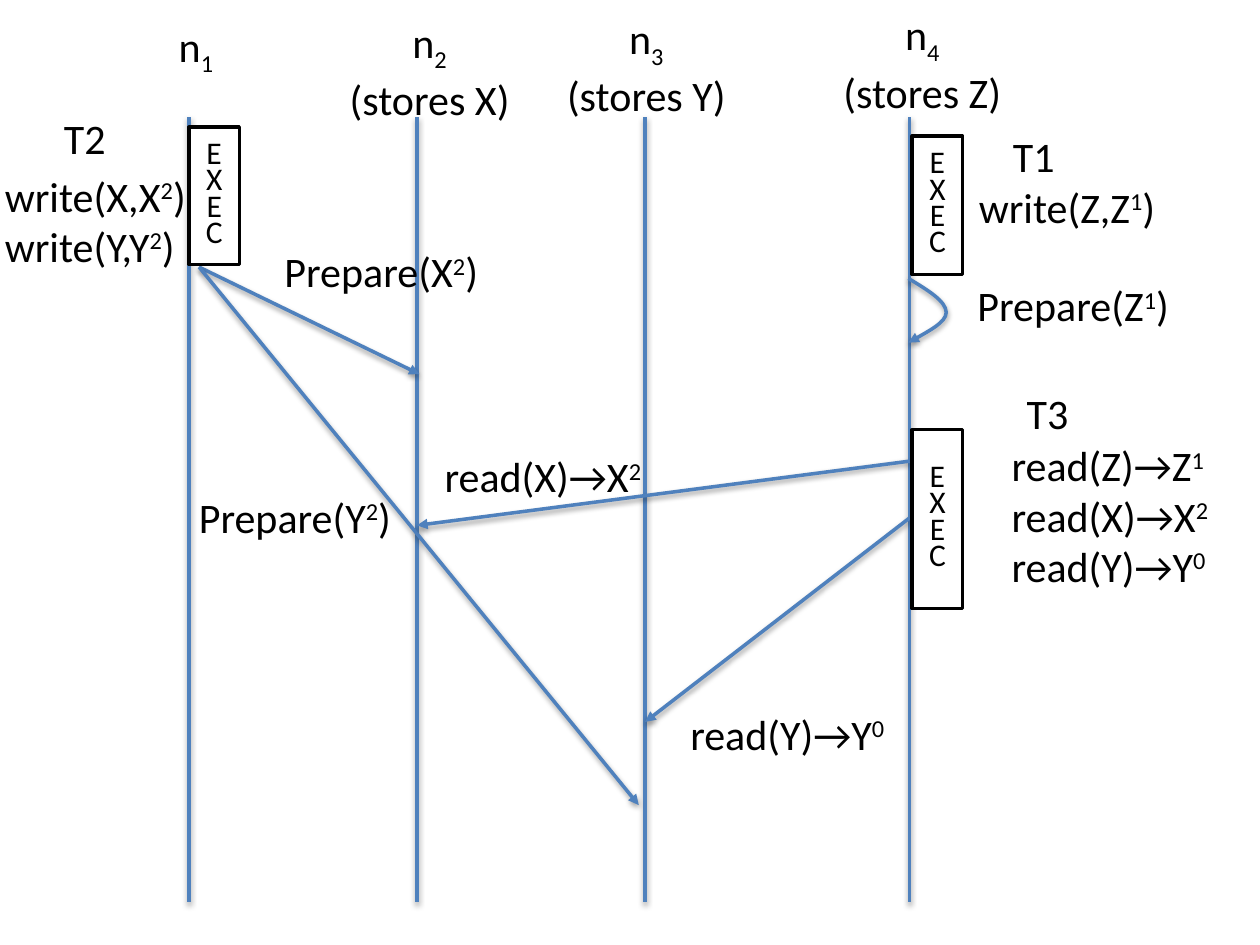
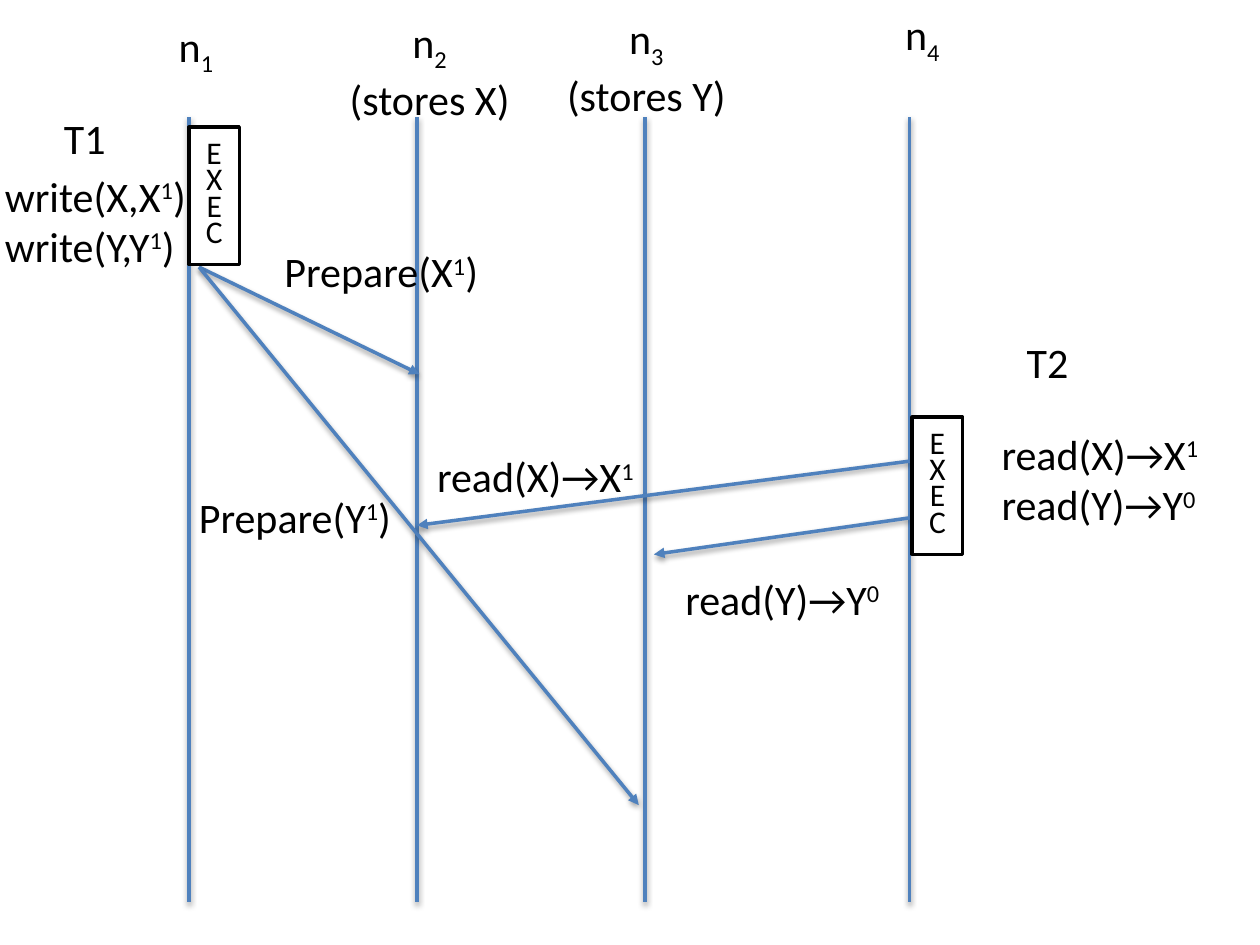
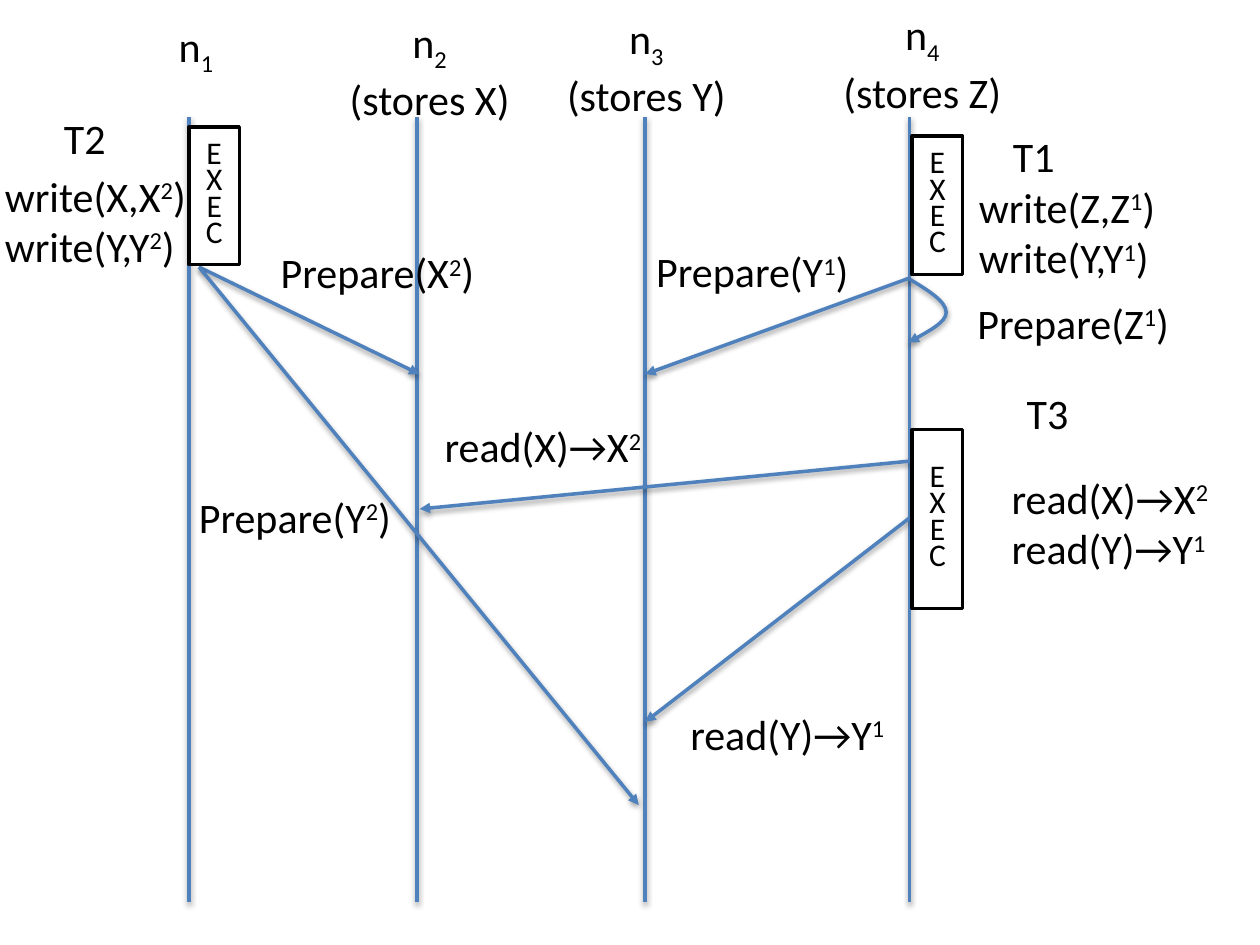
import pptx
import pptx.dml.color
import pptx.enum.shapes
import pptx.enum.text
import pptx.oxml
import pptx.oxml.ns
import pptx.util
from lxml import etree

# Lengths are in grid cells: 100 columns by 75 rows, each 0.1 inch.
CELL = 0.1
COLUMNS, ROWS = 100, 75
LANES = (15, 33.1, 51.2, 72.2)
LANE_TOP, LANE_BOTTOM = 9.3, 71.6
HEADING_CENTRES = (15.55, 34.1, 51.3, 73.2)
LABEL_WIDTHS = {"P": 17.7, "r": 18.2, "w": 16.6, "T": 5.4}
FONT = "Calibri"
BLUE, BLACK, WHITE = "4F81BD", "000000", "FFFFFF"
BASELINES = {"^": "30000", "_": "-25000"}
SEND_POINT = (15.8, 21.2)
LOCAL_POINT = (72.1, 22.1)


def grid(cells):
    """Turn grid cells into a slide length."""
    return pptx.util.Inches(cells * CELL)


def color(hex_text):
    """Turn a hex string into a colour."""
    return pptx.dml.color.RGBColor.from_string(hex_text)


def add_node(parent, tag, **attributes):
    """Append a drawing element with attributes to a parent."""
    return etree.SubElement(parent, pptx.oxml.ns.qn(tag), attributes)


def style_stroke(shape, arrow):
    """Give a line its blue stroke, soft shadow and optional arrowhead."""
    shape.line.color.rgb = color(BLUE)
    shape.line.width = pptx.util.Pt(2)
    properties = shape.element.spPr
    if arrow:
        add_node(properties.find(pptx.oxml.ns.qn("a:ln")), "a:tailEnd", type="triangle")
    effects = add_node(properties, "a:effectLst")
    shadow = add_node(effects, "a:outerShdw", blurRad=str(pptx.util.Pt(3.1)),
                      dist=str(pptx.util.Pt(1.6)), dir="5400000", rotWithShape="0")
    tint = add_node(shadow, "a:srgbClr", val=BLACK)
    add_node(tint, "a:alpha", val="38000")


def add_line(slide, start, end, arrow=True):
    """Draw a straight line between two grid points."""
    line = slide.shapes.add_connector(
        pptx.enum.shapes.MSO_CONNECTOR.STRAIGHT, *map(grid, start + end))
    style_stroke(line, arrow)


def add_loop(slide):
    """Draw the curved arrow of a node that sends to itself."""
    left, top = LOCAL_POINT
    builder = slide.shapes.build_freeform(grid(left), grid(top))
    ends = ((75.1, 24.8), (72.1, 27.2))
    builder.add_line_segments([(grid(x), grid(y)) for x, y in ends], close=False)
    loop = builder.convert_to_shape()
    loop.fill.background()
    handles = (((73.6, 23), (75.1, 23.9)), ((75.1, 25.6), (72.1, 27.2)))
    segments = list(loop.element.iter(pptx.oxml.ns.qn("a:lnTo")))
    for segment, pair in zip(segments, handles):
        segment.tag = pptx.oxml.ns.qn("a:cubicBezTo")
        for position, (x, y) in enumerate(pair):
            point = etree.Element(pptx.oxml.ns.qn("a:pt"),
                                  x=str(grid(x) - loop.left), y=str(grid(y) - loop.top))
            segment.insert(position, point)
    style_stroke(loop, True)


def add_span(para, text, size, baseline=None):
    """Add one formatted run, raised or lowered if a baseline is given."""
    span = para.add_run()
    span.text = text
    span.font.name = FONT
    span.font.size = pptx.util.Pt(size)
    span.font.color.rgb = color(BLACK)
    if baseline:
        span.font._element.set("baseline", baseline)


def add_marked_text(para, text, size=24):
    """Add runs; ^ raises and _ lowers the character that follows."""
    plain, baseline = "", None
    for letter in text:
        if letter in BASELINES:
            add_span(para, plain, size)
            plain, baseline = "", BASELINES[letter]
        elif baseline:
            add_span(para, letter, size, baseline)
            baseline = None
        else:
            plain += letter
    if plain:
        add_span(para, plain, size)


def add_text(slide, left, top, width, lines, centred=False):
    """Add an unwrapped text box with one paragraph per line."""
    height = 1 + 4.05 * len(lines)
    box = slide.shapes.add_textbox(*map(grid, (left, top, width, height)))
    frame = box.text_frame
    frame.word_wrap = False
    for index, line in enumerate(lines):
        para = frame.add_paragraph() if index else frame.paragraphs[0]
        if centred:
            para.alignment = pptx.enum.text.PP_ALIGN.CENTER
        add_marked_text(para, line)


def add_label(slide, left, top, *lines):
    """Add a left-aligned label whose width follows its first letter."""
    add_text(slide, left, top, LABEL_WIDTHS[lines[0][0]], lines)


def add_exec(slide, left, top, height):
    """Draw the narrow box in which EXEC wraps letter by letter."""
    box = slide.shapes.add_shape(pptx.enum.shapes.MSO_SHAPE.RECTANGLE,
                                 *map(grid, (left, top, 4, height)))
    box.shadow.inherit = False
    box.fill.solid()
    box.fill.fore_color.rgb = color(WHITE)
    box.line.color.rgb = color(BLACK)
    box.line.width = pptx.util.Pt(2)
    frame = box.text_frame
    frame.word_wrap = True
    frame.vertical_anchor = pptx.enum.text.MSO_ANCHOR.MIDDLE
    para = frame.paragraphs[0]
    para.alignment = pptx.enum.text.PP_ALIGN.CENTER
    para.line_spacing = 0.7
    add_span(para, "EXEC", 18)


def add_lanes(slide, stores):
    """Draw the four node lines with their headings."""
    for index, (lane, centre, store) in enumerate(zip(LANES, HEADING_CENTRES, stores)):
        add_line(slide, (lane, LANE_TOP), (lane, LANE_BOTTOM), arrow=False)
        lines = [f"n_{index + 1}"]
        if store:
            lines.append(f"(stores {store})")
        width = 15 if store else 5
        add_text(slide, centre - width / 2, 1.1 - 0.3 * index, width, lines, centred=True)


def add_writer(slide, version, prepare_at=(21.6, 19)):
    """Draw the transaction on the first node that writes X and Y."""
    add_line(slide, SEND_POINT, (33.3, 29.7))
    add_line(slide, SEND_POINT, (50.7, 63.9))
    add_label(slide, *prepare_at, f"Prepare(X^{version})")
    add_label(slide, 14.8, 38.5, f"Prepare(Y^{version})")
    add_label(slide, 4.1, 8.4, f"T{version}")
    add_exec(slide, LANES[0], 10.1, 10.9)
    add_label(slide, -0.6, 13, f"write(X,X^{version})", f"write(Y,Y^{version})")


def add_local_writer(slide, writes, prepare_top):
    """Draw T1 on the fourth node, which prepares Z on itself."""
    add_loop(slide)
    add_exec(slide, 72.4, 10.8, 11)
    add_label(slide, 79.4, 9.9, "T1")
    add_label(slide, 76.7, 13.9, *writes)
    add_label(slide, 76.6, prepare_top, "Prepare(Z^1)")


def add_reader(slide, name, name_top, exec_top, exec_height, x_end, y_end):
    """Draw the transaction on the fourth node that reads X and Y."""
    add_line(slide, (LANES[3], 36.6), x_end)
    add_line(slide, (LANES[3], 41.1), y_end)
    add_exec(slide, 72.4, exec_top, exec_height)
    add_label(slide, 80.5, name_top, name)


def add_reads(slide, reads, reads_at, x_at, y_at):
    """Label the reads beside the box; the last two also on their arrows."""
    add_label(slide, *reads_at, *reads)
    add_label(slide, *x_at, reads[-2])
    add_label(slide, *y_at, reads[-1])


def draw_local_write(slide):
    """Draw T1 writing Z only, with T3 reading Z, X and Y."""
    add_lanes(slide, (None, "X", "Y", "Z"))
    add_writer(slide, 2)
    add_reader(slide, "T3", 30.3, 34.1, 14.2, (LANES[1], 41.7), (LANES[2], 57.3))
    add_reads(slide, ("read(Z)→Z^1", "read(X)→X^2", "read(Y)→Y^0"),
              (79.3, 34.4), (34.3, 35.3), (53.8, 55.7))
    add_local_writer(slide, ["write(Z,Z^1)"], 21.7)


def draw_single_writer(slide):
    """Draw T1 writing X and Y, with T2 reading both."""
    add_lanes(slide, (None, "X", "Y", None))
    add_writer(slide, 1)
    add_reader(slide, "T2", 26.2, 33.1, 10.9, (LANES[1], 41.7), (51.9, 44))
    add_reads(slide, ("read(X)→X^1", "read(Y)→Y^0"),
              (78.5, 33.5), (33.7, 35.3), (53.4, 45))


def draw_two_writers(slide):
    """Draw T1 and T2 both writing Y, with T3 reading X and Y."""
    add_lanes(slide, (None, "X", "Y", "Z"))
    add_writer(slide, 2, (21.3, 19.1))
    add_reader(slide, "T3", 30.3, 34.1, 14.2, (33.3, 40.4), (LANES[2], 57.3))
    add_reads(slide, ("read(X)→X^2", "read(Y)→Y^1"),
              (79.3, 37), (34.3, 32.9), (53.8, 55.7))
    add_local_writer(slide, ["write(Z,Z^1)", "write(Y,Y^1)"], 23.1)
    add_line(slide, LOCAL_POINT, (LANES[2], 29.7))
    add_label(slide, 51.1, 19, "Prepare(Y^1)")


def main():
    """Build the three timelines and save the deck."""
    deck = pptx.Presentation()
    deck.slide_width, deck.slide_height = grid(COLUMNS), grid(ROWS)
    for draw in (draw_local_write, draw_single_writer, draw_two_writers):
        draw(deck.slides.add_slide(deck.slide_layouts[6]))
    deck.save("out.pptx")


main()
